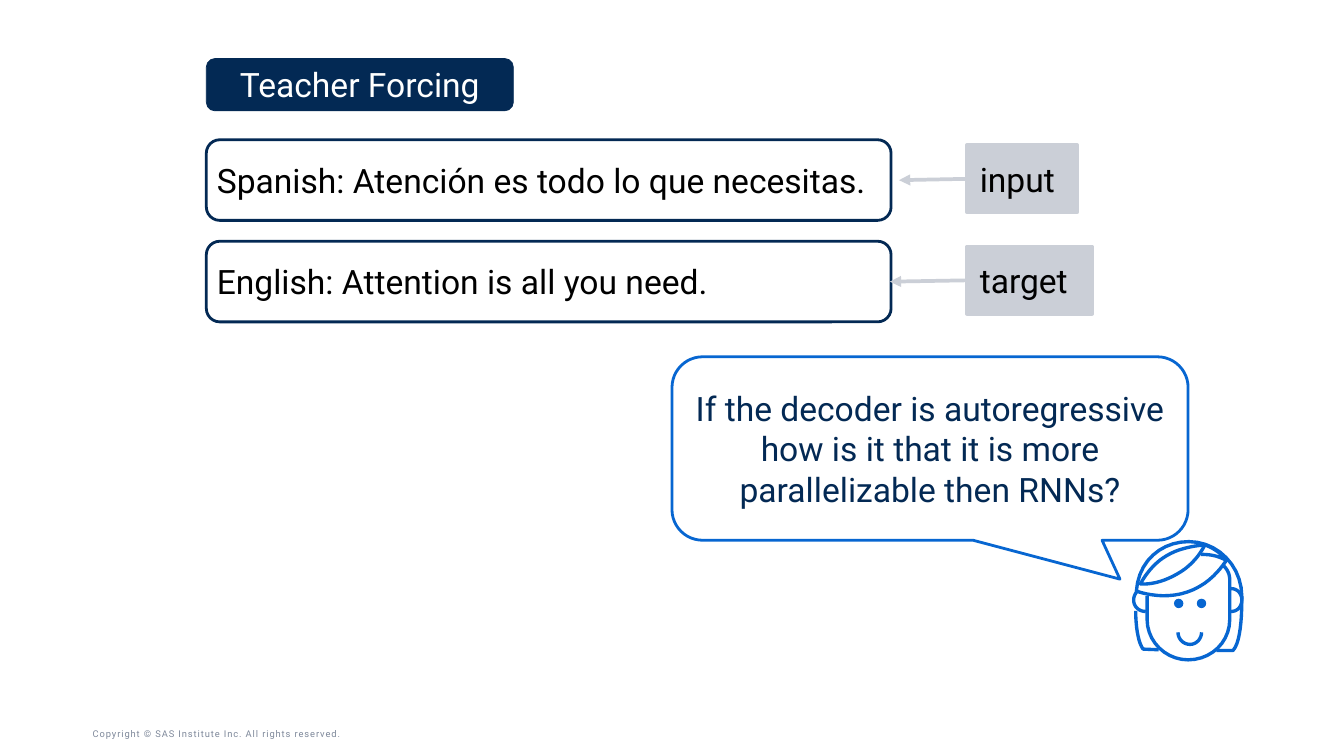
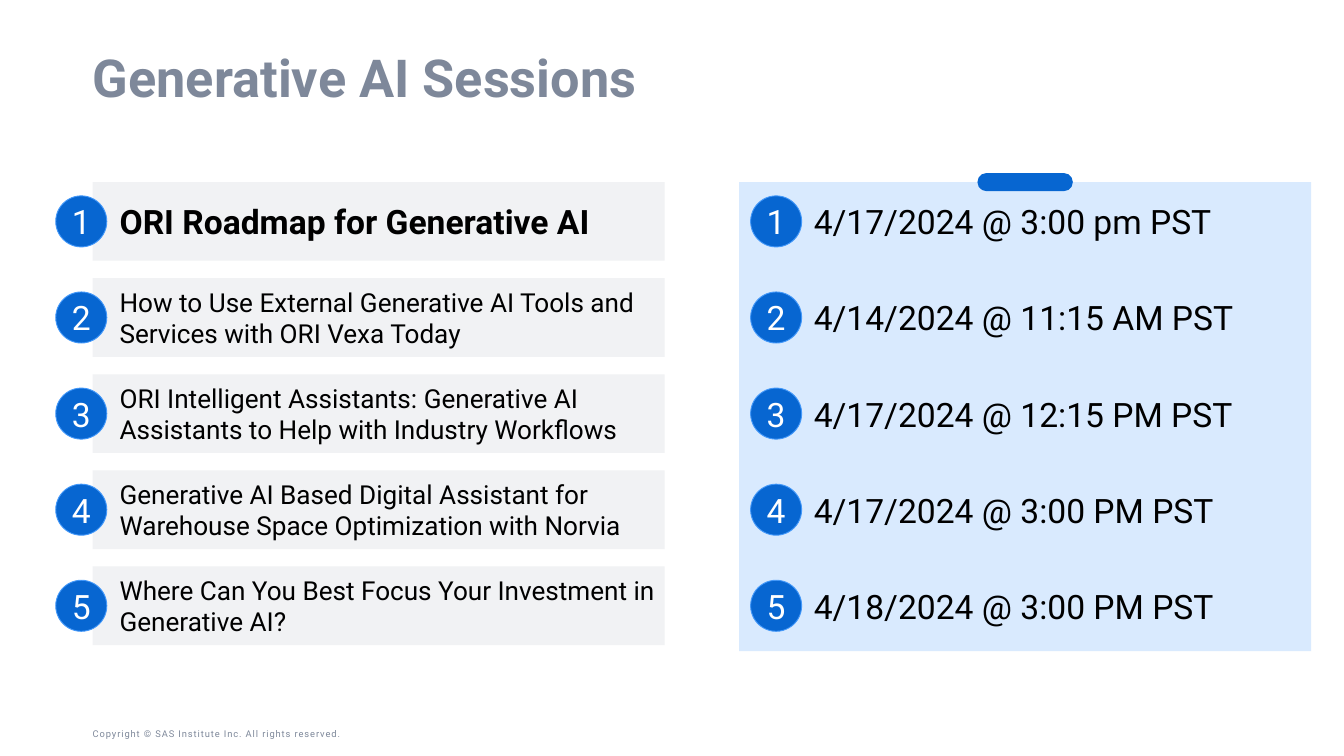
from dataclasses import dataclass

from lxml import etree
from pptx import Presentation
from pptx.dml.color import RGBColor
from pptx.enum.shapes import MSO_SHAPE
from pptx.enum.text import MSO_ANCHOR, PP_ALIGN
from pptx.oxml.ns import qn
from pptx.util import Inches, Pt

# Content
COPYRIGHT = "Copyright © SAS Institute Inc. All rights reserved."
FORCING_TITLE = "Teacher Forcing"
SENTENCES = [
    ("Spanish: Atención es todo lo que necesitas.", "input", 1.64),
    ("English: Attention is all you need.", "target", 1.86),
]
QUESTION = ("If the decoder is autoregressive how is it that it is more "
            "parallelizable then RNNs?")
SESSIONS_TITLE = "Generative AI Sessions"
SESSIONS = [
    ("ORI Roadmap for Generative AI", "4/17/2024 @ 3:00 pm PST"),
    ("How to Use External Generative AI Tools and Services with ORI Vexa Today",
     "4/14/2024 @ 11:15 AM PST"),
    ("ORI Intelligent Assistants: Generative AI Assistants to Help with Industry Workflows",
     "4/17/2024 @ 12:15 PM PST"),
    ("Generative AI Based Digital Assistant for Warehouse Space Optimization with Norvia",
     "4/17/2024 @ 3:00 PM PST"),
    ("Where Can You Best Focus Your Investment in Generative AI?",
     "4/18/2024 @ 3:00 PM PST"),
]

# Face strokes in hundredths of an inch: a start, then cubic curves of three points
FACE_STROKES = {
    "hair": [(7, 77), (10, 32), (44, 3), (85, 3), (128, 3), (164, 39), (164, 85),
             (164, 117), (162, 152), (151, 165), (151, 165), (126, 165), (126, 165)],
    "left strand": [(6, 106), (6, 127), (9, 152), (17, 163),
                    (17, 163), (40, 164), (40, 164)],
    "cheeks": [(23, 84), (23, 84), (23, 119), (23, 119), (23, 152), (51, 179), (84, 179),
               (119, 179), (146, 152), (146, 119), (146, 119), (146, 60), (146, 60),
               (146, 52), (143, 45), (137, 39)],
    "fringe": [(8, 77), (20, 81), (51, 89), (83, 78), (116, 67), (134, 41), (141, 31)],
    "lock": [(13, 66), (25, 67), (46, 64), (68, 51), (90, 39), (103, 20), (109, 8),
             (96, 9), (72, 12), (52, 24), (33, 35), (20, 53), (13, 66)],
    "crown": [(109, 8), (121, 12), (134, 21), (141, 31), (130, 25), (119, 22), (103, 22)],
    "left ear": [(21, 107), (11, 107), (3, 100), (3, 90), (3, 85), (5, 81), (8, 77)],
    "right ear": [(148, 73), (158, 73), (164, 81), (164, 90),
                  (164, 99), (158, 107), (148, 107)],
    "smile": [(69, 138), (69, 148), (77, 156), (87, 156), (96, 156), (104, 148), (104, 138)],
}
FACE_AT = (16.84, 8.03)
EYES = [(17.47, 8.91), (17.81, 8.91)]


@dataclass(frozen=True)
class Theme:
    font: str = "Roboto"
    navy: str = "032954"
    blue: str = "0766D1"
    rim: str = "4398F9"
    sky: str = "D9EAFE"
    slate: str = "7E889A"
    silver: str = "CBCFD7"
    mist: str = "F1F2F4"
    white: str = "FFFFFF"
    black: str = "000000"
    title: int = 56
    lead: int = 36
    body: int = 28
    small: int = 10


T = Theme()
WIDTH, HEIGHT = 20, 11.25
MARGIN = 1.38
ROUND, OVAL = MSO_SHAPE.ROUNDED_RECTANGLE, MSO_SHAPE.OVAL


# Shared helpers
def write(holder, text, size=T.lead, color=T.black, bold=False, align=PP_ALIGN.LEFT,
          anchor=MSO_ANCHOR.MIDDLE, insets=(0.1, 0.05, 0.1, 0.05), spacing=None):
    frame = holder.text_frame
    left, top, right, bottom = map(Inches, insets)
    formats = {"word_wrap": True, "vertical_anchor": anchor, "margin_left": left,
               "margin_top": top, "margin_right": right, "margin_bottom": bottom}
    for key, value in formats.items():
        setattr(frame, key, value)
    paragraph = frame.paragraphs[0]
    paragraph.alignment, paragraph.line_spacing = align, spacing
    run = paragraph.add_run()
    run.text = text
    for key, value in {"name": T.font, "size": Pt(size), "bold": bold}.items():
        setattr(run.font, key, value)
    run.font.color.rgb = RGBColor.from_string(color)
    return run


def style(shape, fill=None, line=None, weight=1):
    shape.shadow.inherit = False
    for part, color in ((shape.fill, fill), (shape.line.fill, line)):
        if color:
            part.solid()
            part.fore_color.rgb = RGBColor.from_string(color)
        else:
            part.background()
    if line:
        shape.line.width = Pt(weight)


def add_block(slide, kind, at, fill=None, line=None, weight=1, adjust=(), **text):
    shape = slide.shapes.add_shape(kind, *map(Inches, at))
    style(shape, fill, line, weight)
    for index, value in enumerate(adjust):
        shape.adjustments[index] = value
    if text:
        write(shape, **text)
    return shape


def add_label(slide, at, **text):
    return write(slide.shapes.add_textbox(*map(Inches, at)), **text)


def new_slide(deck):
    slide = deck.slides.add_slide(deck.slide_layouts[6])
    footer = add_label(slide, (MARGIN, HEIGHT - 0.47, 5.5, 0.27), text=COPYRIGHT,
                       size=T.small, color=T.slate, anchor=MSO_ANCHOR.BOTTOM,
                       insets=(0, 0.05, 0.1, 0.05))
    footer.font._element.set("spc", "100")
    return slide


# Curved line drawing
def flatten(stroke, steps=10):
    points = [stroke[0]]
    for i in range(0, len(stroke) - 1, 3):
        curve = stroke[i:i + 4]
        for step in range(1, steps + 1):
            t = step / steps
            weights = ((1 - t) ** 3, 3 * t * (1 - t) ** 2, 3 * t * t * (1 - t), t ** 3)
            points.append(tuple(sum(w * p[axis] for w, p in zip(weights, curve))
                                for axis in (0, 1)))
    return [(x * 10, y * 10) for x, y in points]


def add_face(slide):
    outlines = [flatten(stroke) for stroke in FACE_STROKES.values()]
    pen = slide.shapes.build_freeform(*outlines[0][0], scale=Inches(1) / 1000)
    for number, points in enumerate(outlines):
        if number:
            pen.move_to(*points[0])
        pen.add_line_segments(points[1:], close=False)
    style(pen.convert_to_shape(*map(Inches, FACE_AT)), line=T.blue, weight=3.6)
    for left, top in EYES:
        add_block(slide, OVAL, (left, top, 0.14, 0.14), fill=T.blue)


# Slide 1: sentence pair and question
def build_forcing(deck):
    slide = new_slide(deck)
    left, top, pitch = 3.07, 2.08, 1.51
    add_face(slide)
    add_block(slide, MSO_SHAPE.ROUNDED_RECTANGULAR_CALLOUT, (10, 5.31, 7.68, 2.73),
              line=T.blue, weight=3, adjust=(0.368, 0.712, 0.167),
              text=QUESTION, color=T.navy, align=PP_ALIGN.CENTER)
    add_block(slide, ROUND, (left, 0.87, 4.57, 0.78), fill=T.navy, line=T.navy,
              weight=0.75, text=FORCING_TITLE, color=T.white,
              align=PP_ALIGN.CENTER, anchor=MSO_ANCHOR.TOP)
    for row, (sentence, role, width) in enumerate(SENTENCES):
        y = top + row * pitch
        add_block(slide, ROUND, (left, y, 10.19, 1.2), line=T.navy, weight=3,
                  text=sentence)
        tag = add_block(slide, MSO_SHAPE.LINE_CALLOUT_1, (14.39, y + 0.08, width, 1),
                        fill=T.silver, line=T.silver, weight=4,
                        adjust=(0.502, -0.001, 0.522, -0.617),
                        text=role, insets=(0.19,) * 4)
        etree.SubElement(tag.line._get_or_add_ln(), qn("a:tailEnd"), type="triangle")


# Slide 2: sessions and their times
def build_sessions(deck):
    slide = new_slide(deck)
    top, height, gap, badge = 2.71, 1.17, 0.26, 0.76
    panel_left, panel_width = 11, 8.51
    pill_width, pill_height = 1.42, 0.27
    inset = (0.4, 0.05, 0.1, 0.05)
    add_label(slide, (MARGIN, 0.78, WIDTH - 2 * MARGIN, 0.85), text=SESSIONS_TITLE,
              size=T.title, color=T.slate, bold=True, insets=(0,) * 4, spacing=0.9)
    add_block(slide, MSO_SHAPE.RECTANGLE, (panel_left, top, panel_width, 6.98), fill=T.sky)
    add_block(slide, ROUND,
              (panel_left + (panel_width - pill_width) / 2, top - pill_height / 2,
               pill_width, pill_height), fill=T.blue, adjust=(0.5,))
    for row, (session, time) in enumerate(SESSIONS):
        y = top + row * (height + gap)
        lead = row == 0
        add_block(slide, ROUND, (MARGIN, y, panel_width, height), fill=T.mist, adjust=(0,),
                  text=session, size=T.lead if lead else T.body, bold=lead, insets=inset)
        add_block(slide, ROUND, (11.71, y, 6.91, height), adjust=(0,),
                  text=time, insets=inset)
        for x in (0.83, 11.17):
            add_block(slide, OVAL, (x, y + (height - badge) / 2, badge, badge),
                      fill=T.blue, line=T.rim, text=str(row + 1), color=T.white,
                      align=PP_ALIGN.CENTER)


def main():
    deck = Presentation()
    deck.slide_width, deck.slide_height = Inches(WIDTH), Inches(HEIGHT)
    build_forcing(deck)
    build_sessions(deck)
    deck.save("out.pptx")


if __name__ == "__main__":
    main()
